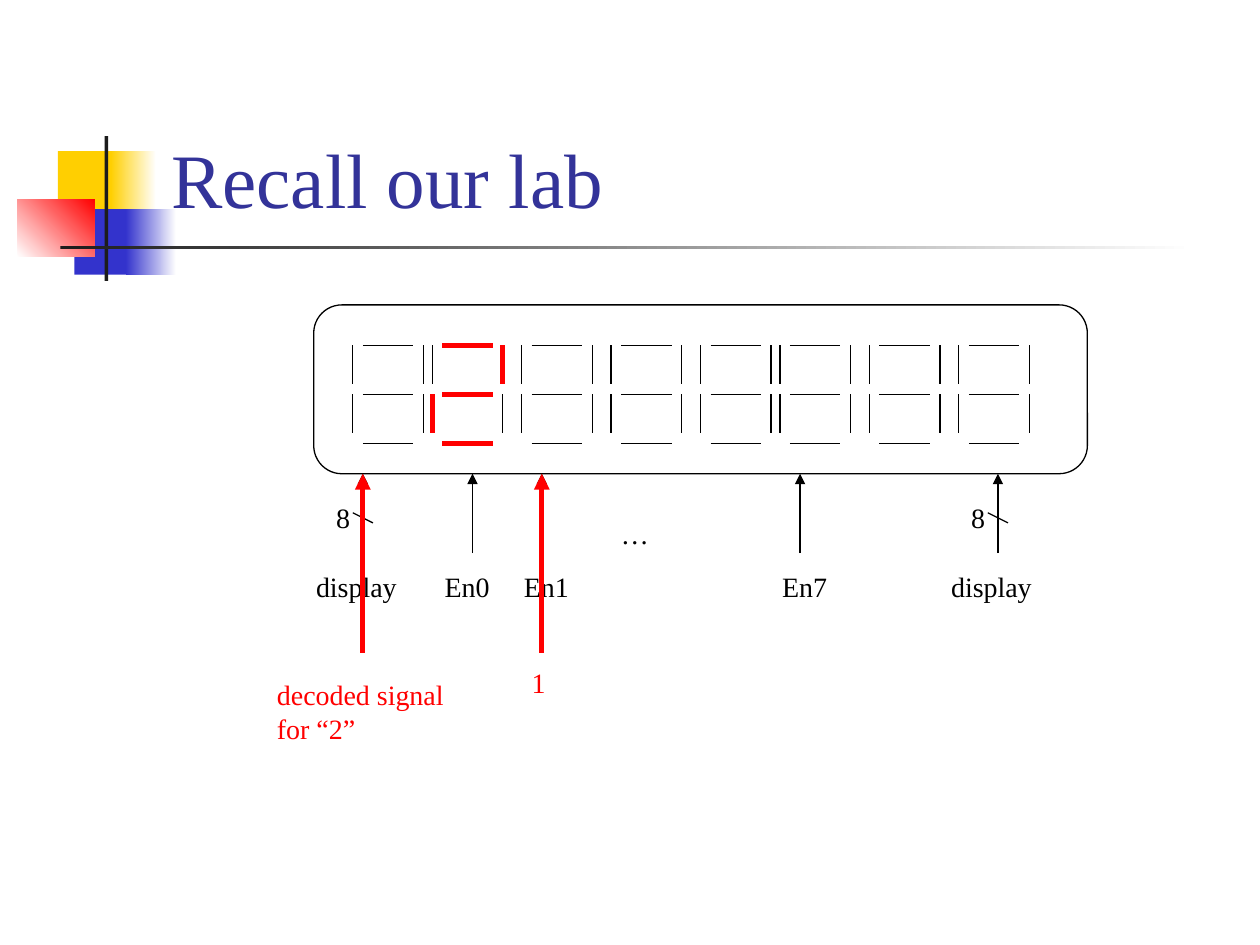
from pptx import Presentation
from pptx.dml.color import RGBColor
from pptx.enum.shapes import MSO_CONNECTOR, MSO_SHAPE
from pptx.enum.text import MSO_ANCHOR, MSO_AUTO_SIZE, PP_ALIGN
from pptx.oxml.ns import qn
from pptx.util import Inches, Pt
from lxml import etree

STRAIGHT = MSO_CONNECTOR.STRAIGHT
RECT = MSO_SHAPE.RECTANGLE
ROUND_RECT = MSO_SHAPE.ROUNDED_RECTANGLE
BOTTOM = MSO_ANCHOR.BOTTOM
LEFT = PP_ALIGN.LEFT
FIT = MSO_AUTO_SIZE.SHAPE_TO_FIT_TEXT
NO_FIT = MSO_AUTO_SIZE.NONE

BLACK = RGBColor(0x00, 0x00, 0x00)
WHITE = RGBColor(0xFF, 0xFF, 0xFF)
RED = RGBColor(0xFF, 0x00, 0x00)
YELLOW = RGBColor(0xFF, 0xCF, 0x01)
BLUE = RGBColor(0x33, 0x33, 0xCC)
NAVY = RGBColor(0x33, 0x33, 0x99)
CHARCOAL = RGBColor(0x1C, 0x1C, 0x1C)

DIGIT_LEFTS = [2.8, 3.43, 4.14, 4.85, 5.56, 6.19, 6.9, 7.61]
DIGIT_TOP = 2.74
DIGIT_WIDTH = 0.56
ROW = 0.39
BAR_INSET = 0.08
SIDE = 0.31
PANEL_BOTTOM = 3.76
THIN, THICK = 0.75, 3
TWO = "abged"


def write_text(tf, text, size=16, color=BLACK, font="Times New Roman"):
    for i, line in enumerate(text.split("\n")):
        p = tf.paragraphs[0] if i == 0 else tf.add_paragraph()
        p.alignment = LEFT
        r = p.add_run()
        r.text = line
        r.font.name = font
        r.font.size = Pt(size)
        r.font.color.rgb = color


class SlideBuilder:
    def __init__(self, slide):
        self.s = slide

    def title(self, text, x, y, w, h):
        sp = self.s.shapes.title
        sp.left, sp.top, sp.width, sp.height = map(Inches, (x, y, w, h))
        tf = sp.text_frame
        tf.vertical_anchor = BOTTOM
        tf.auto_size = NO_FIT
        write_text(tf, text, size=44, color=NAVY)

    def block(self, x, y, w, h, start, end=None, angle=0):
        sp = self.s.shapes.add_shape(RECT, *map(Inches, (x, y, w, h)))
        sp.shadow.inherit = False
        sp.line.fill.background()
        if end is None:
            sp.fill.solid()
            sp.fill.fore_color.rgb = start
            return
        sp.fill.gradient()
        sp.fill.gradient_angle = angle
        for stop, color in zip(sp.fill.gradient_stops, (start, end)):
            stop.color.rgb = color

    def panel(self, x, y, w, h):
        sp = self.s.shapes.add_shape(ROUND_RECT, *map(Inches, (x, y, w, h)))
        sp.shadow.inherit = False
        sp.adjustments[0] = 0.167
        sp.fill.background()
        sp.line.color.rgb = BLACK
        sp.line.width = Pt(THIN)

    def line(self, x1, y1, x2, y2, hot=False, arrow=False):
        c = self.s.shapes.add_connector(STRAIGHT, *map(Inches, (x1, y1, x2, y2)))
        c.line.color.rgb = RED if hot else BLACK
        c.line.width = Pt(THICK if hot else THIN)
        if arrow:
            ln = c.line._get_or_add_ln()
            etree.SubElement(ln, qn("a:tailEnd"), type="triangle")
        etree.SubElement(c._element.spPr, qn("a:effectLst"))

    def arrow_up(self, x, bottom=4.39, hot=False):
        self.line(x, bottom, x, PANEL_BOTTOM, hot, arrow=True)

    def label(self, text, x, y, w, h=0.37, color=BLACK):
        sp = self.s.shapes.add_textbox(*map(Inches, (x, y, w, h)))
        tf = sp.text_frame
        tf.word_wrap = False
        tf.auto_size = FIT
        write_text(tf, text, color=color)

    def digit(self, x, lit=""):
        right = x + DIGIT_WIDTH
        for row, name in enumerate("agd"):
            y = DIGIT_TOP + row * ROW
            self.line(x + BAR_INSET, y, right - BAR_INSET, y, name in lit)
        for row, names in enumerate(("fb", "ec")):
            y = DIGIT_TOP + row * ROW
            for side_x, name in zip((x, right), names):
                self.line(side_x, y, side_x, y + SIDE, name in lit)

    def bus(self, x):
        self.arrow_up(x)
        self.line(x - 0.08, 4.07, x + 0.08, 4.15)
        self.label("8", x - 0.31, 3.92, 0.31)
        self.label("display", x - 0.47, 4.47, 0.85)


def main():
    prs = Presentation()
    prs.slide_width, prs.slide_height = Inches(10), Inches(7.5)
    b = SlideBuilder(prs.slides.add_slide(prs.slide_layouts[5]))

    b.block(0.46, 1.2, 0.48, 0.52, YELLOW)
    b.block(0.88, 1.2, 0.36, 0.52, YELLOW, WHITE)
    b.block(0.59, 1.66, 0.46, 0.52, BLUE)
    b.block(1, 1.66, 0.4, 0.52, BLUE, WHITE)
    b.block(0.14, 1.58, 0.61, 0.46, WHITE, RED, angle=45)
    b.block(0.83, 1.08, 0.03, 1.15, CHARCOAL)
    b.block(0.48, 1.95, 9, 0.03, CHARCOAL, WHITE)
    b.title("Recall our lab", 1.26, 0.23, 8.52, 1.6)

    for i, x in enumerate(DIGIT_LEFTS):
        b.digit(x, TWO if i == 1 else "")
    b.panel(2.49, 2.42, 6.14, 1.34)

    for x in (2.88, 7.92):
        b.bus(x)
    for text, arrow_x, text_x in (("En0", 3.75, 3.43), ("En1", 4.3, 4.06), ("En7", 6.35, 6.11)):
        b.arrow_up(arrow_x)
        b.label(text, text_x, 4.47, 0.56)
    b.label("…", 4.83, 4.05, 0.42)

    for x in (2.88, 4.3):
        b.arrow_up(x, bottom=5.18, hot=True)
    b.label("decoded signal\nfor “2”", 2.1, 5.33, 1.53, 0.64, color=RED)
    b.label("1", 4.12, 5.23, 0.31, color=RED)

    prs.save("out.pptx")


if __name__ == "__main__":
    main()
